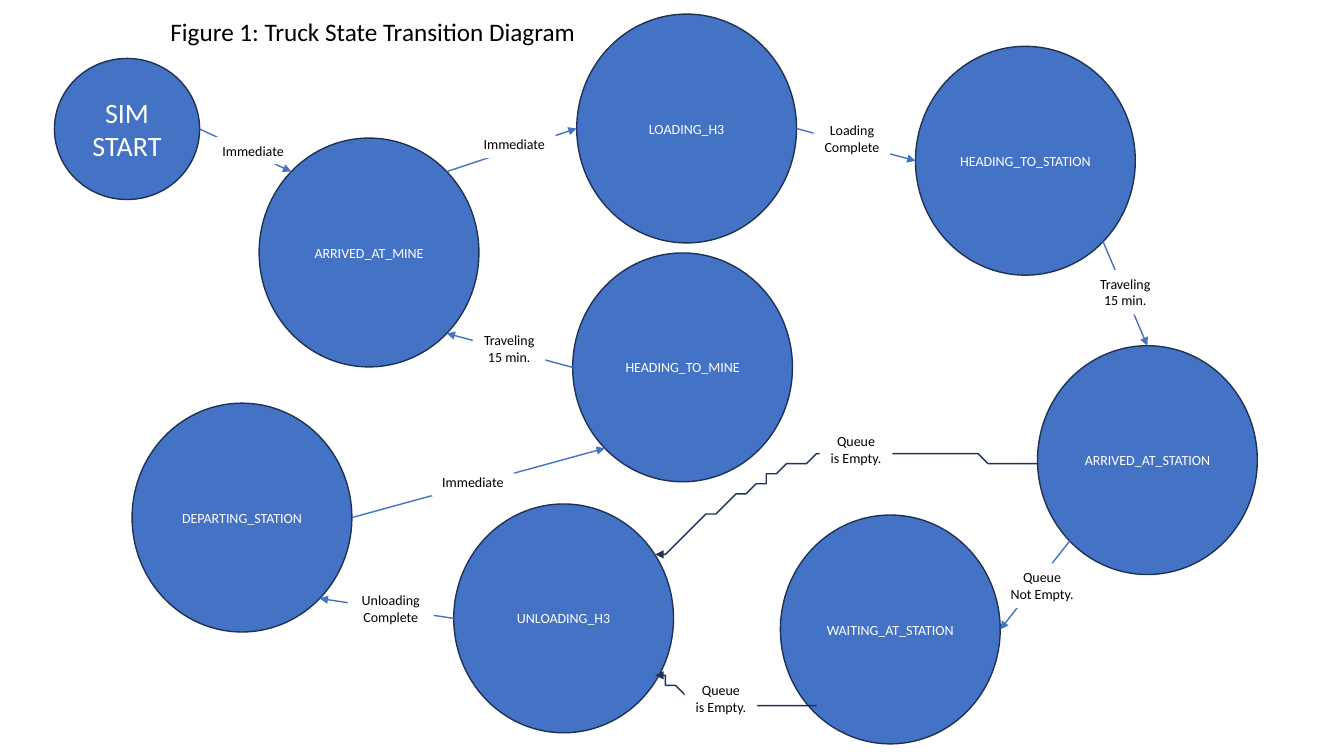
from math import cos, pi, sin

from lxml.etree import SubElement
from pptx import Presentation
from pptx.dml.color import RGBColor
from pptx.enum.shapes import MSO_CONNECTOR, MSO_SHAPE
from pptx.enum.text import MSO_ANCHOR, MSO_AUTO_SIZE, PP_ALIGN
from pptx.oxml.ns import qn
from pptx.util import Inches, Pt

BLUE = RGBColor(0x44, 0x72, 0xC4)
NAVY = RGBColor(0x1E, 0x32, 0x56)
WHITE = RGBColor(0xFF, 0xFF, 0xFF)
BLACK = RGBColor(0x00, 0x00, 0x00)

# Sites on a circle: eighths of a turn, counterclockwise from the top
TOP, TOP_LEFT, LEFT, BOTTOM_LEFT, BOTTOM, BOTTOM_RIGHT, RIGHT, TOP_RIGHT = range(8)

# Positions are columns and rows of a grid with ten cells to the inch
STATE_SIZE = (21.8, 22.7)
STATES = {
    "ARRIVED_AT_MINE": (25.7, 13.7),
    "LOADING_H3": (57.2, 1.4),
    "HEADING_TO_STATION": (90.8, 4.6),
    "ARRIVED_AT_STATION": (102.9, 34.3),
    "WAITING_AT_STATION": (77.4, 51.1),
    "UNLOADING_H3": (45, 50),
    "DEPARTING_STATION": (13.1, 40),
    "HEADING_TO_MINE": (56.8, 25.1),
}
START = "SIM\nSTART"

# from state, site, to state, site, label, label column, row, width
TRANSITIONS = [
    ("LOADING_H3", RIGHT, "HEADING_TO_STATION", LEFT, "Loading\nComplete", 80.7, 11.6, 7.6),
    ("HEADING_TO_STATION", BOTTOM_RIGHT, "ARRIVED_AT_STATION", TOP, "Traveling\n15 min.", 108, 26.8, 7.2),
    ("ARRIVED_AT_STATION", BOTTOM_LEFT, "WAITING_AT_STATION", RIGHT, "Queue\nNot Empty.", 99.1, 55.9, 8.5),
    ("ARRIVED_AT_MINE", TOP_RIGHT, "LOADING_H3", LEFT, "Immediate", 46.9, 13, 8.2),
    (START, RIGHT, "ARRIVED_AT_MINE", TOP_LEFT, "Immediate", 21, 13.6, 8.2),
    ("UNLOADING_H3", LEFT, "DEPARTING_STATION", BOTTOM_RIGHT, "Unloading\nComplete", 34.5, 58.2, 8.5),
    ("HEADING_TO_MINE", LEFT, "ARRIVED_AT_MINE", BOTTOM_RIGHT, "Traveling\n15 min.", 46.9, 32.4, 7.2),
    ("DEPARTING_STATION", RIGHT, "HEADING_TO_MINE", BOTTOM_LEFT, "Immediate", 42.8, 46.5, 8.2),
]

# Bezier points of the arrow (from its head), label column, row
QUEUE_CURVES = [
    ([(65.4, 55.3), (70.5, 51), (75.6, 46.6), (81.8, 45.2),
      (88.1, 43.7), (95.5, 45.1), (102.9, 46.5)], 81.3, 42.4),
    ([(65.4, 67.2), (67.4, 68.5), (69.5, 69.8), (72.1, 70.2),
      (74.7, 70.6), (77.7, 70.2), (80.7, 69.8)], 67.9, 67.1),
]


def grid(cells):
    return Inches(cells / 10)


def bezier_points(points, steps=20):
    """Return points along a chain of cubic curves that share their ends."""
    curve = [points[0]]
    for i in range(0, len(points) - 1, 3):
        for step in range(1, steps + 1):
            t = step / steps
            weights = ((1 - t) ** 3, 3 * t * (1 - t) ** 2, 3 * t * t * (1 - t), t ** 3)
            curve.append(tuple(sum(w * p[axis] for w, p in zip(weights, points[i:i + 4]))
                               for axis in (0, 1)))
    return curve


def site_point(sp, site):
    angle = site * pi / 4
    return (round(sp.left + sp.width / 2 * (1 - sin(angle))),
            round(sp.top + sp.height / 2 * (1 - cos(angle))))


class Diagram:
    def __init__(self, slide, font="Calibri"):
        self.shapes = slide.shapes
        self.font = font

    def set_text(self, tf, text, size, color, align=PP_ALIGN.CENTER):
        tf.text = text
        for p in tf.paragraphs:
            p.alignment = align
            p.font.name = self.font
            p.font.size = Pt(size)
            p.font.color.rgb = color

    def outline(self, sp, color, arrow=None):
        """Set the line; arrow is headEnd, tailEnd or None."""
        sp.line.color.rgb = color
        sp.line.width = Pt(1)
        if arrow:
            ln = sp._element.spPr.find(qn("a:ln"))
            SubElement(ln, qn("a:" + arrow), type="triangle")

    def title(self, text, col, row, width, height):
        sp = self.shapes.title
        sp.left, sp.top, sp.width, sp.height = map(grid, (col, row, width, height))
        tf = sp.text_frame
        self.set_text(tf, text, 18, BLACK, PP_ALIGN.LEFT)
        tf.word_wrap = False
        tf.auto_size = MSO_AUTO_SIZE.NONE
        tf.vertical_anchor = MSO_ANCHOR.TOP

    def state(self, text, col, row, width, height, size=10):
        sp = self.shapes.add_shape(MSO_SHAPE.OVAL, *map(grid, (col, row, width, height)))
        sp.shadow.inherit = False
        sp.fill.solid()
        sp.fill.fore_color.rgb = BLUE
        self.outline(sp, NAVY)
        self.set_text(sp.text_frame, text, size, WHITE)
        sp.text_frame.vertical_anchor = MSO_ANCHOR.MIDDLE
        return sp

    def arrow(self, source, source_site, target, target_site):
        cxn = self.shapes.add_connector(MSO_CONNECTOR.STRAIGHT,
                                        *site_point(source, source_site),
                                        *site_point(target, target_site))
        self.outline(cxn, BLUE, "tailEnd")
        SubElement(cxn._element.spPr, qn("a:effectLst"))
        joints = cxn._element.nvCxnSpPr.cNvCxnSpPr
        for tag, sp, site in (("a:stCxn", source, source_site), ("a:endCxn", target, target_site)):
            SubElement(joints, qn(tag), id=str(sp.shape_id), idx=str(site))

    def curve(self, points):
        first, *rest = bezier_points(points)
        builder = self.shapes.build_freeform(*first, scale=grid(1))
        builder.add_line_segments(rest, close=False)
        sp = builder.convert_to_shape()
        sp.shadow.inherit = False
        sp.fill.background()
        self.outline(sp, NAVY, "headEnd")

    def label(self, text, col, row, width):
        height = 4.4 if "\n" in text else 2.7
        sp = self.shapes.add_textbox(*map(grid, (col, row, width, height)))
        sp.fill.solid()
        sp.fill.fore_color.rgb = WHITE
        tf = sp.text_frame
        self.set_text(tf, text, 10, BLACK)
        tf.word_wrap = text.startswith("Unloading")
        tf.auto_size = MSO_AUTO_SIZE.SHAPE_TO_FIT_TEXT


def main():
    prs = Presentation()
    prs.slide_width, prs.slide_height = Inches(13.33), Inches(7.5)
    diagram = Diagram(prs.slides.add_slide(prs.slide_layouts[5]))
    diagram.title("Figure 1: Truck State Transition Diagram", 15.9, 1.1, 42.6, 4)

    states = {name: diagram.state(name, *place, *STATE_SIZE) for name, place in STATES.items()}
    states[START] = diagram.state(START, 5.4, 5.8, 14.4, 14, size=20)

    for source, source_site, target, target_site, *label in TRANSITIONS:
        diagram.arrow(states[source], source_site, states[target], target_site)
        diagram.label(*label)
    for points, col, row in QUEUE_CURVES:
        diagram.curve(points)
        diagram.label("Queue\nis Empty.", col, row, 7.2)

    prs.save("out.pptx")


if __name__ == "__main__":
    main()
